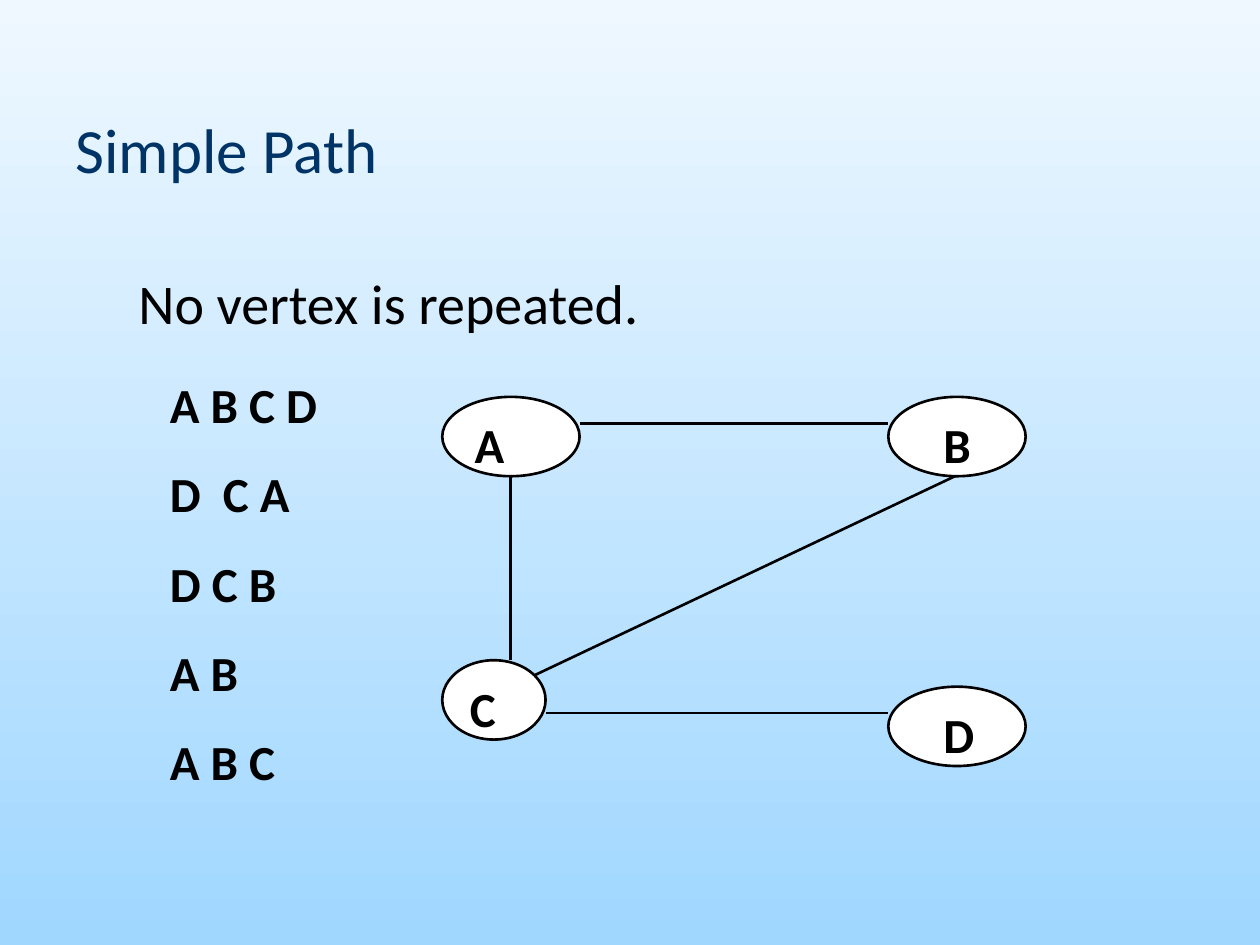
from pptx import Presentation
from pptx.dml.color import RGBColor
from pptx.enum.shapes import MSO_CONNECTOR, MSO_SHAPE
from pptx.enum.text import MSO_ANCHOR, PP_ALIGN
from pptx.oxml.ns import qn
from pptx.util import Inches, Pt
from lxml import etree

OVAL = MSO_SHAPE.OVAL
STRAIGHT = MSO_CONNECTOR.STRAIGHT
TOP, MIDDLE = MSO_ANCHOR.TOP, MSO_ANCHOR.MIDDLE
LEFT = PP_ALIGN.LEFT

SKY_TOP = RGBColor(0xEF, 0xF8, 0xFF)
SKY_BOTTOM = RGBColor(0xA0, 0xD7, 0xFF)
NAVY = RGBColor(0x00, 0x33, 0x66)
BLACK = RGBColor(0x00, 0x00, 0x00)
WHITE = RGBColor(0xFF, 0xFF, 0xFF)

PATHS = ["A B C D", "D  C A", "D C B", "A B", "A B C"]
VERTICES = [
    ("A", (3.51, 3.15, 1.09, 0.63), 0),
    ("B", (7.05, 3.15, 1.09, 0.63), 0.18),
    ("C", (3.51, 5.24, 0.82, 0.63), 0),
    ("D", (7.05, 5.45, 1.09, 0.63), 0.18),
]
DIAGONAL = (7.6, 3.77, 4.05, 5.45)
EDGES = [
    (4.6, 3.36, 7.05, 3.36),
    (4.05, 3.77, 4.05, 5.24),
    (4.33, 5.66, 7.05, 5.66),
]


def write(tf, lines, size, color=BLACK, bold=False, anchor=TOP, gap=0, indent=0):
    tf.word_wrap = True
    tf.vertical_anchor = anchor
    for i, line in enumerate(lines):
        p = tf.paragraphs[0] if i == 0 else tf.add_paragraph()
        p.alignment = LEFT
        p.space_before = Pt(gap if i else 0)
        if indent:
            p._p.get_or_add_pPr().set("marL", str(Inches(indent)))
        r = p.add_run()
        r.text = line
        r.font.name = "Calibri"
        r.font.size = Pt(size)
        r.font.bold = bold
        r.font.color.rgb = color


def add_background(s):
    fill = s.background.fill
    fill.gradient()
    fill.gradient_angle = 270
    for stop, color, position in zip(fill.gradient_stops, (SKY_TOP, SKY_BOTTOM), (0, 1)):
        stop.color.rgb = color
        stop.position = position


def add_title(s, box, text):
    title = s.shapes.title
    title.left, title.top, title.width, title.height = map(Inches, box)
    write(title.text_frame, [text], 36, color=NAVY, anchor=MIDDLE)


def add_text(s, box, lines, size, **style):
    tb = s.shapes.add_textbox(*map(Inches, box))
    write(tb.text_frame, lines, size, **style)


def add_edge(shapes, ends):
    edge = shapes.add_connector(STRAIGHT, *map(Inches, ends))
    edge.line.color.rgb = BLACK
    edge.line.width = Pt(1.5)
    etree.SubElement(edge._element.spPr, qn("a:effectLst"))


def add_vertex(shapes, name, box, indent):
    sp = shapes.add_shape(OVAL, *map(Inches, box))
    sp.shadow.inherit = False
    sp.fill.solid()
    sp.fill.fore_color.rgb = WHITE
    sp.line.color.rgb = BLACK
    sp.line.width = Pt(1.5)
    write(sp.text_frame, [name], 28, bold=True, indent=indent)


def add_graph(s):
    shapes = s.shapes.add_group_shape().shapes
    add_edge(shapes, DIAGONAL)
    for name, box, indent in VERTICES:
        add_vertex(shapes, name, box, indent)
    for ends in EDGES:
        add_edge(shapes, ends)


def main():
    prs = Presentation()
    prs.slide_width, prs.slide_height = Inches(10), Inches(7.5)
    s = prs.slides.add_slide(prs.slide_layouts[5])
    add_background(s)
    add_title(s, (0.5, 0.8, 9, 0.75), "Simple Path")
    add_text(s, (1, 2.08, 8.08, 0.64), ["No vertex is repeated."], 32)
    add_text(s, (1.25, 2.92, 2.25, 3.41), PATHS, 28, bold=True, gap=17.5)
    add_graph(s)
    prs.save("out.pptx")


if __name__ == "__main__":
    main()
